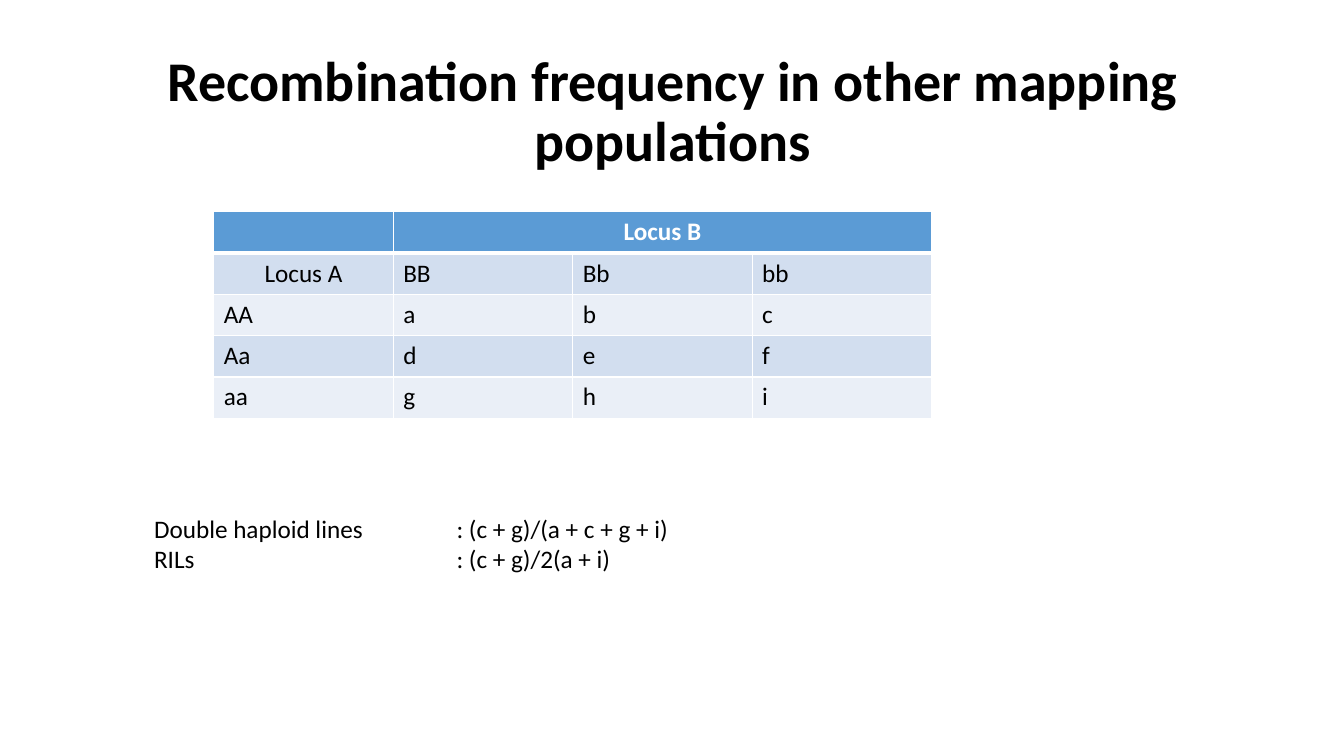
from lxml import etree
from pptx import Presentation
from pptx.dml.color import RGBColor
from pptx.enum.text import MSO_ANCHOR, PP_ALIGN
from pptx.oxml.ns import qn
from pptx.util import Inches, Pt

TITLE = "Recombination frequency in other mapping populations"
GENOTYPE_ROWS = [
    ["", "Locus B", "", ""],
    ["Locus A", "BB", "Bb", "bb"],
    ["AA", "a", "b", "c"],
    ["Aa", "d", "e", "f"],
    ["aa", "g", "h", "i"],
]
CENTRED_LABELS = ("Locus A", "Locus B")
FORMULAS = [
    ("Double haploid lines", ": (c + g)/(a + c + g + i)"),
    ("RILs", ": (c + g)/2(a + i)"),
]

FONT = "Calibri"
BLACK = RGBColor(0x00, 0x00, 0x00)
WHITE = RGBColor(0xFF, 0xFF, 0xFF)
HEADER_BLUE = RGBColor(0x5B, 0x9B, 0xD5)
BAND_FILLS = [RGBColor(0xEA, 0xEF, 0xF7), RGBColor(0xD2, 0xDE, 0xEF)]

COLUMN_WIDTH = Inches(1.78)
ROW_HEIGHT = Inches(0.41)
FORMULA_TAB = Inches(3)


def style_font(paragraph, size, color=BLACK, bold=False):
    font = paragraph.font
    font.name = FONT
    font.size = Pt(size)
    font.bold = bold
    font.color.rgb = color


def add_border(cell, side, width):
    properties = cell._tc.get_or_add_tcPr()
    line = etree.SubElement(properties, qn(f"a:ln{side}"), w=str(Pt(width)))
    fill = etree.SubElement(line, qn("a:solidFill"))
    etree.SubElement(fill, qn("a:srgbClr"), val=str(WHITE))


def add_title(slide):
    box = slide.shapes.add_textbox(Inches(0.92), Inches(0.4), Inches(11.5), Inches(1.45))
    frame = box.text_frame
    frame.word_wrap = True
    frame.vertical_anchor = MSO_ANCHOR.MIDDLE
    paragraph = frame.paragraphs[0]
    paragraph.text = TITLE
    paragraph.alignment = PP_ALIGN.CENTER
    paragraph.line_spacing = 0.9
    style_font(paragraph, 40, bold=True)


def add_genotype_table(slide):
    row_count, column_count = len(GENOTYPE_ROWS), len(GENOTYPE_ROWS[0])
    table = slide.shapes.add_table(
        row_count, column_count, Inches(2.12), Inches(2.1),
        COLUMN_WIDTH * column_count, ROW_HEIGHT * row_count).table
    for row_index, labels in enumerate(GENOTYPE_ROWS):
        is_header = row_index == 0
        for column_index, label in enumerate(labels):
            cell = table.cell(row_index, column_index)
            widths = {"L": 1, "R": 1, "T": 3 if row_index == 1 else 1, "B": 3 if is_header else 1}
            for side, width in widths.items():
                add_border(cell, side, width)
            cell.fill.solid()
            cell.fill.fore_color.rgb = HEADER_BLUE if is_header else BAND_FILLS[row_index % 2]
            paragraph = cell.text_frame.paragraphs[0]
            paragraph.text = label
            if label in CENTRED_LABELS:
                paragraph.alignment = PP_ALIGN.CENTER
            style_font(paragraph, 18, WHITE if is_header else BLACK, is_header)
    table.cell(0, 1).merge(table.cell(0, column_count - 1))


def add_formulas(slide):
    box = slide.shapes.add_textbox(Inches(1.43), Inches(5.04), Inches(5.36), Inches(0.71))
    frame = box.text_frame
    frame.word_wrap = False
    for index, (population, formula) in enumerate(FORMULAS):
        paragraph = frame.add_paragraph() if index else frame.paragraphs[0]
        paragraph.text = f"{population}\t{formula}"
        tabs = etree.SubElement(paragraph._p.get_or_add_pPr(), qn("a:tabLst"))
        etree.SubElement(tabs, qn("a:tab"), pos=str(FORMULA_TAB), algn="l")
        style_font(paragraph, 18)


def main():
    presentation = Presentation()
    presentation.slide_width = Inches(13.33)
    presentation.slide_height = Inches(7.5)
    slide = presentation.slides.add_slide(presentation.slide_layouts[6])
    add_title(slide)
    add_genotype_table(slide)
    add_formulas(slide)
    presentation.save("out.pptx")


if __name__ == "__main__":
    main()
